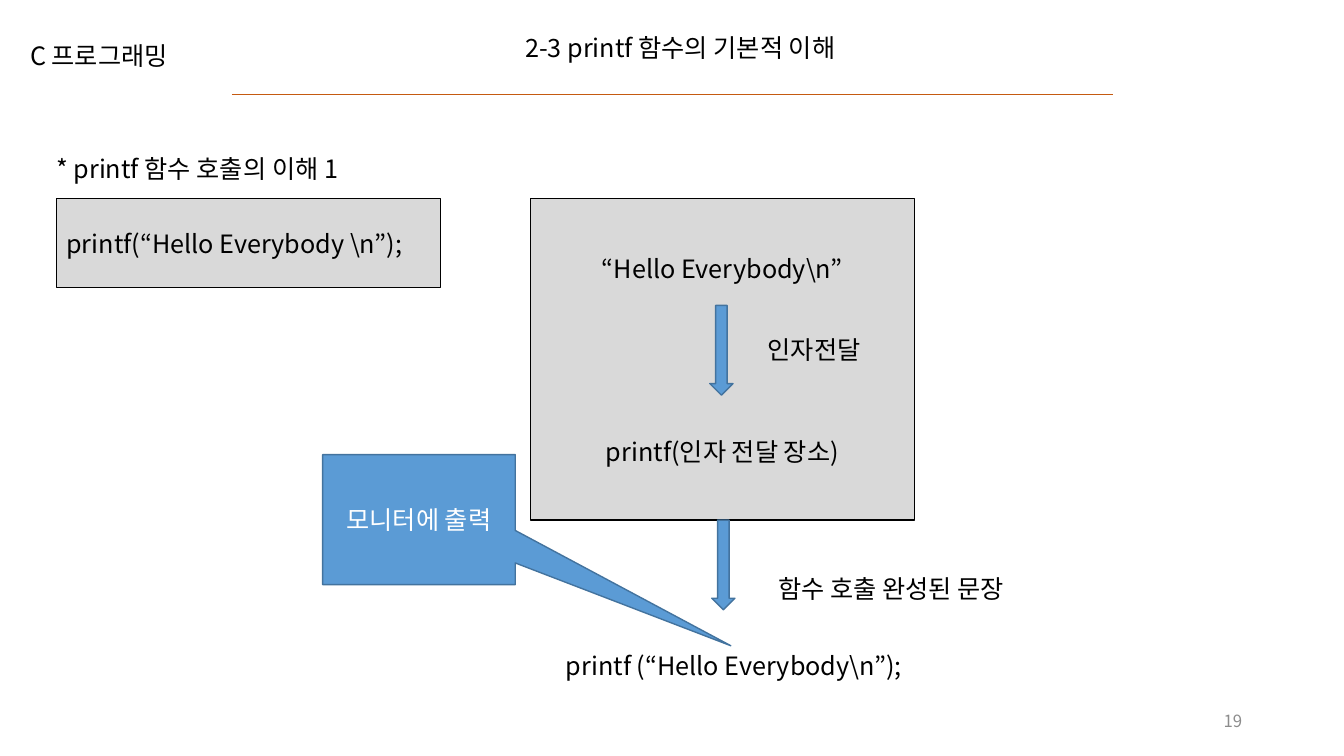
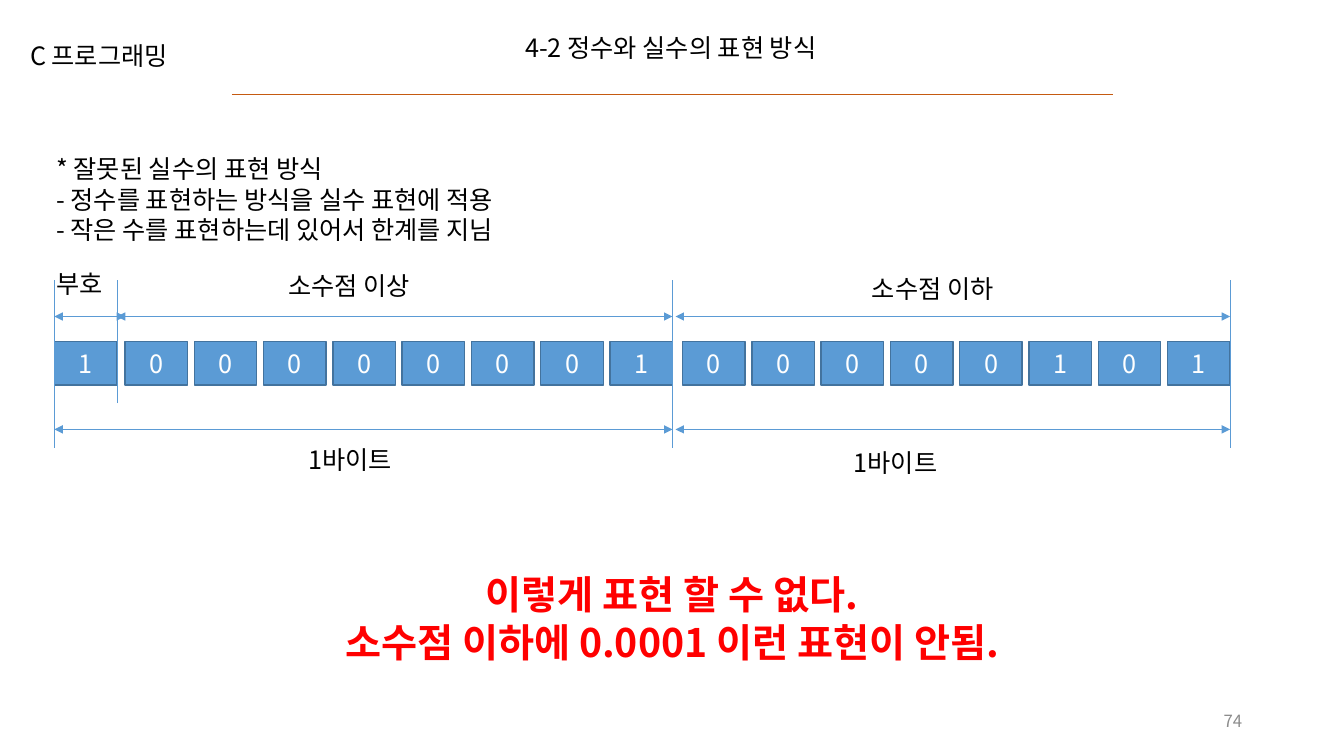
from lxml import etree
from pptx import Presentation
from pptx import util as u
from pptx.dml.color import RGBColor
from pptx.enum import shapes, text
from pptx.oxml.ns import qn

FONT = "Noto Sans CJK KR"
HEX = dict(black="000000", white="FFFFFF", rule="C55A11", gray="D9D9D9",
           blue="5B9BD5", edge="43739E", page="8C8C8C", red="FF0000")
LEFT, MID, RIGHT = text.PP_ALIGN.LEFT, text.PP_ALIGN.CENTER, text.PP_ALIGN.RIGHT
KIND = shapes.MSO_SHAPE
LEAD = 1.21  # line height as a share of the type size

# Labels: (left, top, width, height), lines, alignment
CALL = {
    "title": "2-3 printf 함수의 기본적 이해", "width": 3.57, "page": "19",
    "labels": [
        ((0.46, 1.47, 3.28, 0.4), ["* printf 함수 호출의 이해 1"], LEFT),
        ((5.51, 6.4, 3.54, 0.4), ["printf (“Hello Everybody\\n”);"], MID),
        ((7.47, 3.27, 1.21, 0.4), ["인자전달"], MID),
        ((7.47, 5.64, 2.74, 0.4), ["함수 호출 완성된 문장"], MID),
    ],
}
CODE = ["printf(“Hello Everybody \\n”);"]
STEPS = ["“Hello Everybody\\n”", "printf(인자 전달 장소)"]
NOTE = ["모니터에 출력"]

REAL = {
    "title": "4-2 정수와 실수의 표현 방식", "width": 3.46, "page": "74",
    "labels": [
        ((0.46, 1.47, 5.13, 1.01),
         ["* 잘못된 실수의 표현 방식",
          "- 정수를 표현하는 방식을 실수 표현에 적용",
          "- 작은 수를 표현하는데 있어서 한계를 지님"], LEFT),
        ((0.46, 2.61, 0.71, 0.4), ["부호"], LEFT),
        ((2.76, 2.63, 1.55, 0.4), ["소수점 이상"], LEFT),
        ((8.55, 2.66, 1.55, 0.4), ["소수점 이하"], LEFT),
        ((2.96, 4.36, 1.1, 0.4), ["1바이트"], LEFT),
        ((8.37, 4.39, 1.1, 0.4), ["1바이트"], LEFT),
    ],
}
WARN = ["이렇게 표현 할 수 없다.", "소수점 이하에 0.0001 이런 표현이 안됨."]
# Bit fields: left edge, right edge, digits
BITS = [(0.54, 1.16, "1"), (1.24, 6.67, "00000001"), (6.77, 12.2, "00000101")]
CELL = 0.62
# Guides: x, bottom; spans: left, right, y
GUIDES = [(0.54, 4.44), (1.16, 4), (6.67, 4.44), (12.2, 4.44)]
SPANS = [(0.54, 1.24, 3.14), (1.16, 6.67, 3.14), (6.7, 12.2, 3.14),
         (0.54, 6.67, 4.26), (6.7, 12.2, 4.26)]


def rgb(name):
    return RGBColor.from_string(HEX[name])


def inch(*nums):
    return [u.Inches(n) for n in nums]


def write(frame, lines, align, ink="black", size=18, bold=False, gap=0):
    """Fill a frame, with gap empty line heights between paragraphs."""
    frame.text = "\n".join(lines)
    for i, para in enumerate(frame.paragraphs):
        para.alignment = align
        para.line_spacing = u.Pt(size * LEAD)
        if i and gap:
            para.space_before = u.Pt(size * LEAD * gap)
        for run in para.runs:
            run.font.size, run.font.bold = u.Pt(size), bold
            run.font.name = FONT
            run.font.color.rgb = rgb(ink)
            etree.SubElement(run.font._element, qn("a:ea"), typeface=FONT)


def label(page, box, lines, align=LEFT, **style):
    frame = page.shapes.add_textbox(*inch(*box)).text_frame
    frame.word_wrap = False
    frame.auto_size = text.MSO_AUTO_SIZE.SHAPE_TO_FIT_TEXT
    write(frame, lines, align, **style)


def block(page, kind, box, lines=(), fill="blue", edge="edge",
          align=MID, ink="white", gap=0):
    shape = page.shapes.add_shape(kind, *inch(*box))
    shape.shadow.inherit = False
    shape.fill.solid()
    shape.fill.fore_color.rgb = rgb(fill)
    shape.line.color.rgb = rgb(edge)
    shape.line.width = u.Pt(1)
    if lines:
        shape.text_frame.vertical_anchor = text.MSO_ANCHOR.MIDDLE
        write(shape.text_frame, lines, align, ink, gap=gap)
    return shape


def rule(page, ends, ink="blue", heads=False):
    line = page.shapes.add_connector(shapes.MSO_CONNECTOR.STRAIGHT, *inch(*ends))
    line.line.color.rgb = rgb(ink)
    line.line.width = u.Pt(0.5)
    if heads:
        for tag in ("a:headEnd", "a:tailEnd"):
            etree.SubElement(line.line._get_or_add_ln(), qn(tag), type="triangle")
    etree.SubElement(line._element.spPr, qn("a:effectLst"))


def start(deck, data):
    """Add a slide with its heading and page number."""
    page = deck.slides.add_slide(deck.slide_layouts[6])
    rule(page, (2.3, 0.94, 11.04, 0.94), "rule")
    label(page, (0.2, 0.35, 1.71, 0.4), ["C 프로그래밍"])
    label(page, (5.11, 0.27, data["width"], 0.4), [data["title"]])
    foot = page.shapes.add_textbox(*inch(9.42, 6.95, 3, 0.4)).text_frame
    foot.word_wrap = True
    foot.vertical_anchor = text.MSO_ANCHOR.MIDDLE
    write(foot, [data["page"]], RIGHT, "page", 12)
    return page


def notes(page, data):
    for box, lines, align in data["labels"]:
        label(page, box, lines, align)


def call(deck):
    page = start(deck, CALL)
    gray = dict(fill="gray", edge="black", ink="black")
    block(page, KIND.RECTANGLE, (0.56, 1.97, 3.81, 0.88), CODE, align=LEFT, **gray)
    block(page, KIND.RECTANGLE, (5.26, 1.97, 3.81, 3.19), STEPS, gap=5, **gray)
    for x, y in [(7.04, 3.03), (7.06, 5.16)]:
        block(page, KIND.DOWN_ARROW, (x, y, 0.23, 0.89))
    bubble = block(page, KIND.RECTANGULAR_CALLOUT, (3.2, 4.51, 1.91, 1.29), NOTE)
    bubble.adjustments[0], bubble.adjustments[1] = 1.62, 0.97
    notes(page, CALL)


def real(deck):
    page = start(deck, REAL)
    for left, right, bits in BITS:
        step = (right - CELL - left) / max(len(bits) - 1, 1)
        for i, bit in enumerate(bits):
            block(page, KIND.RECTANGLE, (left + i * step, 3.39, CELL, 0.43), [bit])
    for x, end in GUIDES:
        rule(page, (x, end, x, 2.78))
    for left, right, y in SPANS:
        rule(page, (left, y, right, y), heads=True)
    notes(page, REAL)
    label(page, (2.99, 5.61, 7.35, 1.04), WARN, MID, ink="red", size=28, bold=True)


def main():
    deck = Presentation()
    deck.slide_width, deck.slide_height = inch(13.33, 7.5)
    call(deck)
    real(deck)
    deck.save("out.pptx")


if __name__ == "__main__":
    main()
